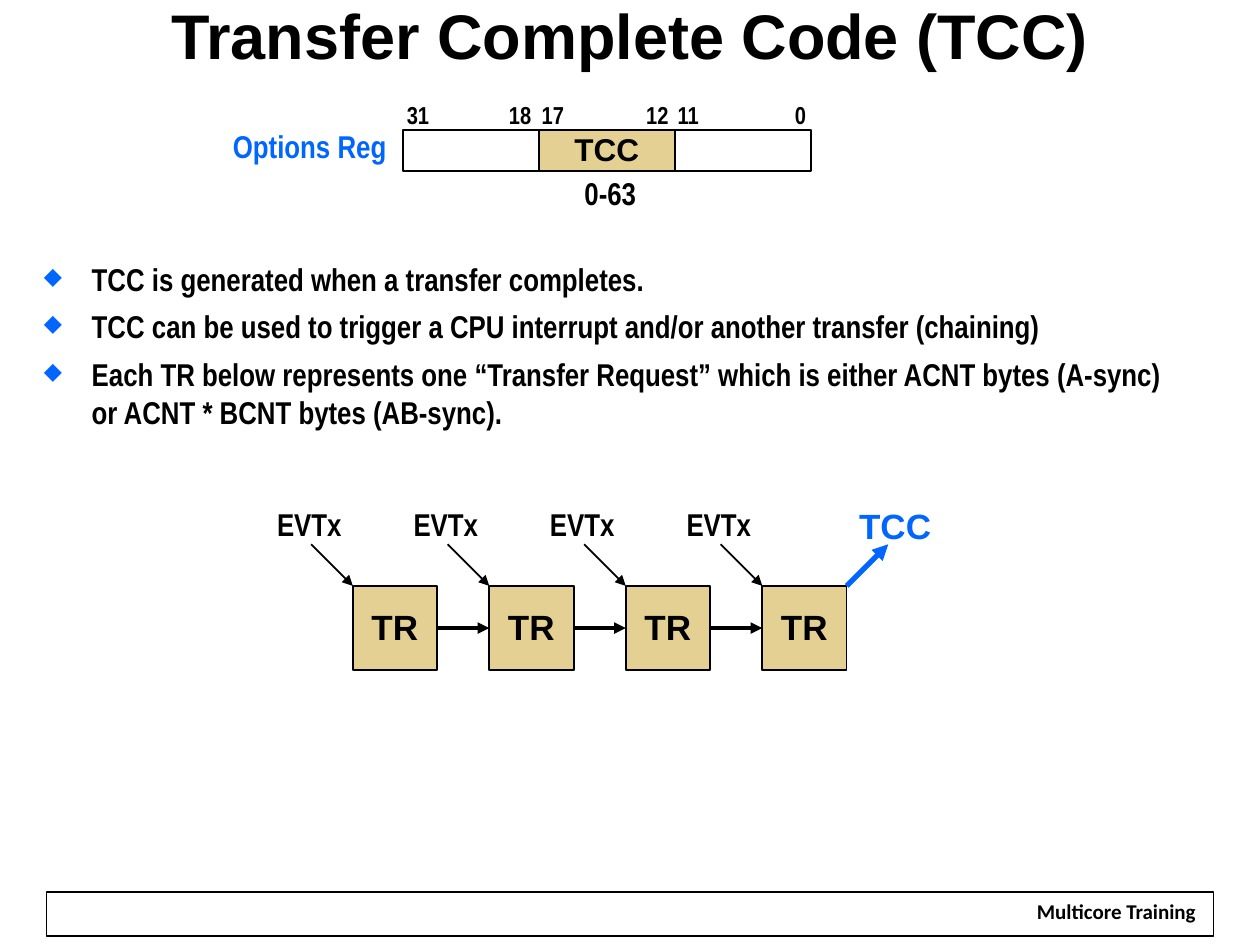
from lxml.etree import SubElement
from pptx import Presentation
from pptx.dml.color import RGBColor
from pptx.enum.shapes import MSO_CONNECTOR, MSO_SHAPE
from pptx.enum.text import MSO_ANCHOR, PP_ALIGN
from pptx.oxml.ns import qn
from pptx.util import Inches, Pt

BLACK = RGBColor(0x00, 0x00, 0x00)
WHITE = RGBColor(0xFF, 0xFF, 0xFF)
BLUE = RGBColor(0x00, 0x66, 0xFF)
TAN = RGBColor(0xE5, 0xD0, 0x93)
NARROW = "Arial Narrow"


class SlideWriter:
    """Holds the common text style and the slide being drawn."""

    font_format = {"name": NARROW, "size": Pt(18), "bold": True}

    def __init__(self, slide):
        self.slide = slide

    def style(self, paragraph, color=BLACK, **changes):
        for attribute, value in {**self.font_format, **changes}.items():
            setattr(paragraph.font, attribute, value)
        paragraph.font.color.rgb = color

    def box(self, left, top, width, height, fill=None, line_width=1.0):
        rect = self.slide.shapes.add_shape(
            MSO_SHAPE.RECTANGLE, *map(Inches, (left, top, width, height)))
        rect.shadow.inherit = False
        if fill is None:
            rect.fill.background()
        else:
            rect.fill.solid()
            rect.fill.fore_color.rgb = fill
        if line_width:
            rect.line.color.rgb = BLACK
            rect.line.width = Pt(line_width)
        else:
            rect.line.fill.background()

    def label(self, text, left, top, width, height, spacing=0.8,
              align=PP_ALIGN.LEFT, inset=0.1, **font):
        frame = self.slide.shapes.add_textbox(
            *map(Inches, (left, top, width, height))).text_frame
        frame.word_wrap = False
        frame.margin_left = frame.margin_right = Inches(inset)
        paragraph = frame.paragraphs[0]
        paragraph.text = text
        paragraph.alignment = align
        paragraph.line_spacing = spacing
        self.style(paragraph, **font)

    def bullets(self, points, left, top, width, height):
        frame = self.slide.shapes.add_textbox(
            *map(Inches, (left, top, width, height))).text_frame
        frame.word_wrap = True
        frame.vertical_anchor = MSO_ANCHOR.MIDDLE
        for index, point in enumerate(points):
            paragraph = frame.add_paragraph() if index else frame.paragraphs[0]
            paragraph.text = point
            props = paragraph._p.get_or_add_pPr()
            props.set("marL", str(Inches(0.38)))
            props.set("indent", str(-Inches(0.38)))
            bullet_color = SubElement(props, qn("a:buClr"))
            SubElement(bullet_color, qn("a:srgbClr"), val=str(BLUE))
            SubElement(props, qn("a:buSzPct"), val="75000")
            SubElement(props, qn("a:buChar"), char="◆")
            paragraph.space_after = Pt(5.5)
            self.style(paragraph)

    def arrow(self, start, end, width, color=BLACK):
        connector = self.slide.shapes.add_connector(
            MSO_CONNECTOR.STRAIGHT, *map(Inches, (*start, *end)))
        connector.line.color.rgb = color
        connector.line.width = Pt(width)
        SubElement(connector.line._get_or_add_ln(), qn("a:tailEnd"), type="triangle")
        SubElement(connector._element.spPr, qn("a:effectLst"))


def draw_register(writer):
    left, top, field_width, height = 3.2, 1.03, 1.08, 0.33
    for index, fill in enumerate((None, TAN, None)):
        writer.box(left + index * field_width, top, field_width, height, fill)
    bit_lefts = {"31": 3.13, "18": 3.94, "17": 4.2, "12": 5.03, "11": 5.28, "0": 6.21}
    for bit, bit_left in bit_lefts.items():
        writer.label(bit, bit_left, 0.79, 0.2 + 0.09 * len(bit), 0.29, size=Pt(14))
    writer.label("Options Reg", 1.75, 1.02, 1.42, 0.34, color=BLUE)
    writer.label("TCC", 4.46, 1.04, 0.72, 0.34, name="Arial")
    writer.label("0-63", 4.54, 1.39, 0.61, 0.34)


def draw_transfer_chain(writer):
    count, first_left, top, side = 4, 2.8, 4.65, 0.67
    pitch = 3.25 / (count - 1)
    middle, event_base, slant = top + side / 2, 4.32, 0.33
    large = {"name": "Arial", "size": Pt(20)}
    for index in range(count):
        left = first_left + index * pitch
        writer.box(left, top, side, side, TAN)
        writer.label("TR", left + 0.05, 4.82, 0.57, 0.37, **large)
        writer.label("EVTx", left - 0.7, 4.02, 0.72, 0.34)
        writer.arrow((left - slant, event_base), (left, top), 1)
        if index < count - 1:
            writer.arrow((left + side, middle), (left + pitch, middle), 2.25)
    chain_right = left + side
    writer.arrow((chain_right, top), (chain_right + slant, event_base), 3, BLUE)
    writer.label("TCC", chain_right, 4.02, 0.77, 0.37, color=BLUE, **large)


def main():
    deck = Presentation()
    deck.slide_width, deck.slide_height = Inches(10), Inches(7.5)
    writer = SlideWriter(deck.slides.add_slide(deck.slide_layouts[6]))

    writer.box(0.37, 7.08, 9.26, 0.35, line_width=0.75)
    footer = (8.12, 7.12, 1.48, 0.26)
    writer.box(*footer, fill=WHITE, line_width=0)
    writer.label("Multicore Training", *footer, align=PP_ALIGN.CENTER,
                 name="Calibri", size=Pt(12))
    writer.label("Transfer Complete Code (TCC)", 0, 0.06, 10, 0.67, spacing=0.75,
                 align=PP_ALIGN.CENTER, inset=0.05, name="Arial", size=Pt(36))
    writer.bullets((
        "TCC is generated when a transfer completes.",
        "TCC can be used to trigger a CPU interrupt and/or another transfer (chaining)",
        "Each TR below represents one “Transfer Request” which is either "
        "ACNT bytes (A-sync) \vor ACNT * BCNT bytes (AB-sync).",
    ), 0.25, 1.94, 9.53, 1.6)
    draw_transfer_chain(writer)
    draw_register(writer)
    deck.save("out.pptx")


if __name__ == "__main__":
    main()
